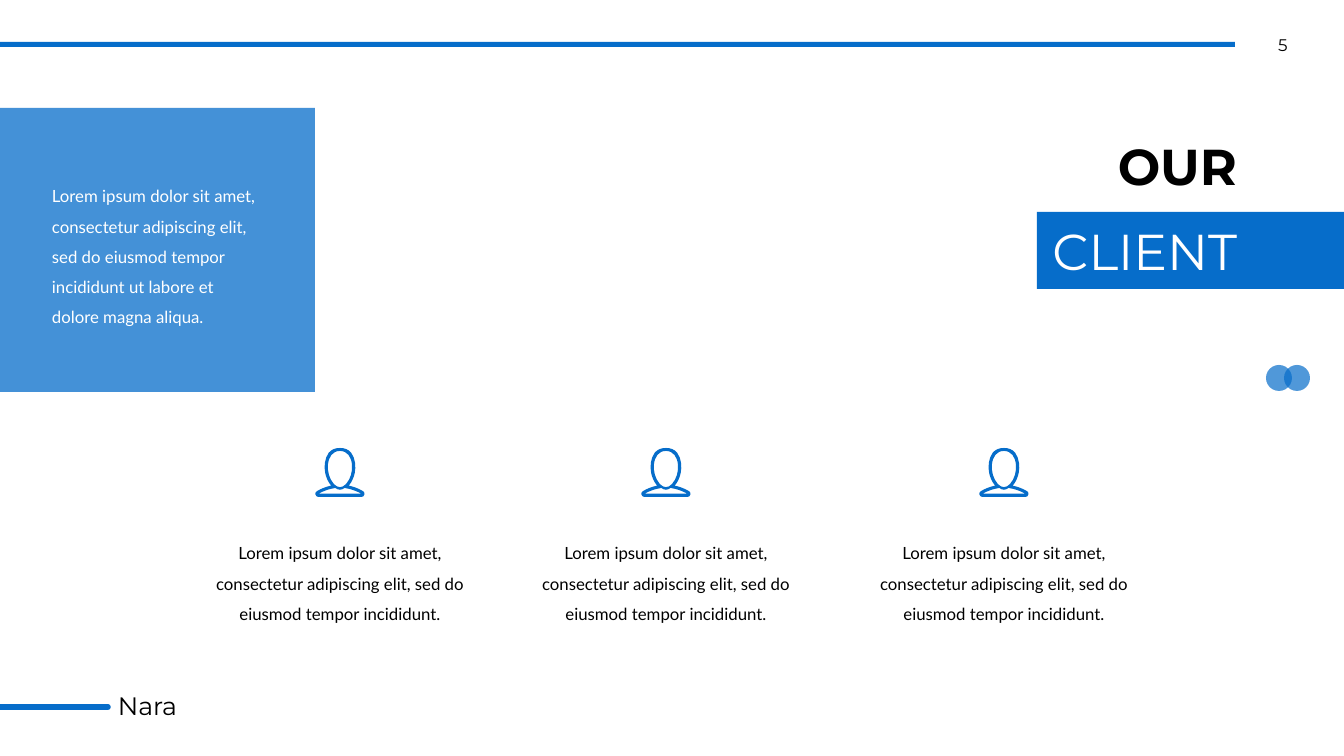
from pptx import Presentation
from pptx.dml.color import RGBColor
from pptx.enum.shapes import MSO_CONNECTOR, MSO_SHAPE
from pptx.enum.text import PP_ALIGN
from pptx.oxml.ns import qn
from pptx.util import Pt
from lxml.etree import SubElement

PX = 914400 / 100.8
BLUE, BLACK, WHITE = "066DCA", "000000", "FFFFFF"
LEFT, CENTER, RIGHT = PP_ALIGN.LEFT, PP_ALIGN.CENTER, PP_ALIGN.RIGHT

INTRO = ("Lorem ipsum dolor sit amet, consectetur adipiscing elit, sed do "
         "eiusmod tempor incididunt ut labore et dolore magna aliqua.")
CLIENT_TEXT = ("Lorem ipsum dolor sit amet, consectetur adipiscing elit, "
               "sed do eiusmod tempor incididunt.")
CLIENT_CENTERS = [340, 666, 1004]
ICON_TOP = 448

# shape, left, top, width, height, opacity in percent
BLOCKS = [
    (MSO_SHAPE.OVAL, 1266, 365, 26, 26, 70),
    (MSO_SHAPE.OVAL, 1284, 365, 26, 26, 70),
    (MSO_SHAPE.RECTANGLE, 0, 42, 1235, 5, 100),
    (MSO_SHAPE.RECTANGLE, 1037, 212, 307, 77, 100),
    (MSO_SHAPE.RECTANGLE, 0, 108, 315, 284, 75),
]

# text, left, top, width, height, size, font, colour, alignment, bold, line spacing
TEXTS = [
    ("5", 1249, 30, 68, 30, 12, "Montserrat", BLACK, CENTER, False, 1),
    ("Nara", 108, 685, 168, 40, 18, "Montserrat", BLACK, LEFT, False, 1),
    ("OUR", 928, 130, 319, 72, 36, "Montserrat", BLACK, RIGHT, True, 1),
    ("CLIENT", 928, 215, 319, 72, 36, "Montserrat", WHITE, RIGHT, False, 1),
    (INTRO, 42, 171, 231, 159, 12, "Lato", WHITE, LEFT, False, 1.5),
] + [(CLIENT_TEXT, x - 138, 528, 276, 98, 12, "Lato", BLACK, CENTER, False, 1.5)
     for x in CLIENT_CENTERS]

# Right halves of the icon outlines in tenths of a px, measured from its top
# centre: a start point, then cubic curves (three points) or lines (one point).
ICON_HALVES = [
    [(0, 0), [(45, 0), (85, 14), (112, 48)], [(155, 105), (160, 190), (148, 250)],
     [(140, 290), (120, 340), (88, 377)], [(175, 395), (233, 434), (233, 434)],
     [(245, 442), (248, 455), (245, 465)], [(242, 480), (230, 489), (218, 489)],
     [(0, 489)]],
    [(0, 30), [(75, 30), (112, 90), (120, 165)], [(127, 235), (105, 310), (65, 355)],
     [(58, 363)], [(40, 382), (20, 392), (0, 392)]],
    [(0, 418), [(18, 418), (32, 410), (46, 400)], [(85, 408)],
     [(160, 425), (208, 455), (213, 457)], [(0, 457)]],
]


def px(n):
    return round(n * PX)


def rgb(color):
    return RGBColor.from_string(color)


def paint(shape, color, opacity=100):
    shape.shadow.inherit = False
    shape.fill.solid()
    shape.fill.fore_color.rgb = rgb(color)
    shape.line.fill.background()
    if opacity < 100:
        clr = shape.fill._xPr.find(qn("a:solidFill"))[0]
        SubElement(clr, qn("a:alpha")).set("val", str(opacity * 1000))


def add_text(s, text, x, y, w, h, size, font, color, align, bold, spacing):
    tf = s.shapes.add_textbox(px(x), px(y), px(w), px(h)).text_frame
    tf.word_wrap = True
    tf.text = text
    p = tf.paragraphs[0]
    p.alignment = align
    p.line_spacing = spacing
    r = p.runs[0]
    r.font.size, r.font.name, r.font.bold = Pt(size), font, bold
    r.font.color.rgb = rgb(color)


def full_outline(half):
    """Return the segments of a half outline followed by their mirror image."""
    start, *segments = half
    mirrored = []
    for segment in segments:
        back = [start, *segment[:-1]][::-1]
        mirrored.insert(0, [(-x, y) for x, y in back])
        start = segment[-1]
    return segments + mirrored


def bend(shape, lengths):
    """Turn each run of three line points into one cubic curve."""
    lines = iter(list(shape._element.iter(qn("a:lnTo"))))
    for length in lengths:
        first, *rest = [next(lines) for _ in range(length)]
        if rest:
            first.tag = qn("a:cubicBezTo")
        for line in rest:
            first.append(line[0])
            line.getparent().remove(line)


def add_person(s, x):
    builder = s.shapes.build_freeform(*ICON_HALVES[0][0], scale=PX / 10)
    lengths = []
    for i, half in enumerate(ICON_HALVES):
        if i:
            builder.move_to(*half[0])
        segments = full_outline(half)
        builder.add_line_segments([point for seg in segments for point in seg], close=True)
        lengths += [len(seg) for seg in segments]
    person = builder.convert_to_shape(px(x), px(ICON_TOP))
    bend(person, lengths)
    paint(person, BLUE)


def main():
    prs = Presentation()
    prs.slide_width, prs.slide_height = px(1344), px(756)
    s = prs.slides.add_slide(prs.slide_layouts[6])

    for kind, x, y, w, h, opacity in BLOCKS:
        paint(s.shapes.add_shape(kind, px(x), px(y), px(w), px(h)), BLUE, opacity)

    footer = s.shapes.add_connector(MSO_CONNECTOR.STRAIGHT, 0, px(707), px(108), px(707))
    footer.line.color.rgb = rgb(BLUE)
    footer.line.width = Pt(4)
    footer.line._get_or_add_ln().set("cap", "rnd")
    SubElement(footer._element.spPr, qn("a:effectLst"))

    for x in CLIENT_CENTERS:
        add_person(s, x)
    for item in TEXTS:
        add_text(s, *item)
    prs.save("out.pptx")


if __name__ == "__main__":
    main()
